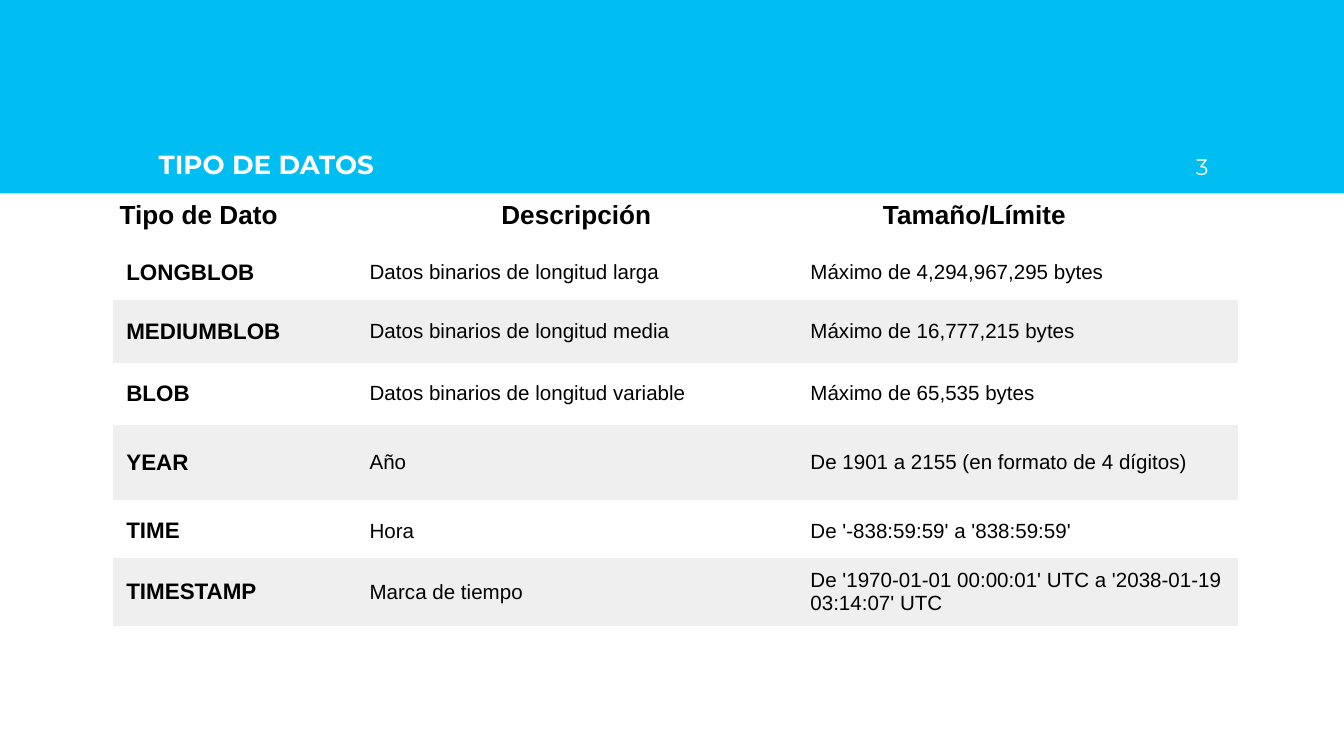
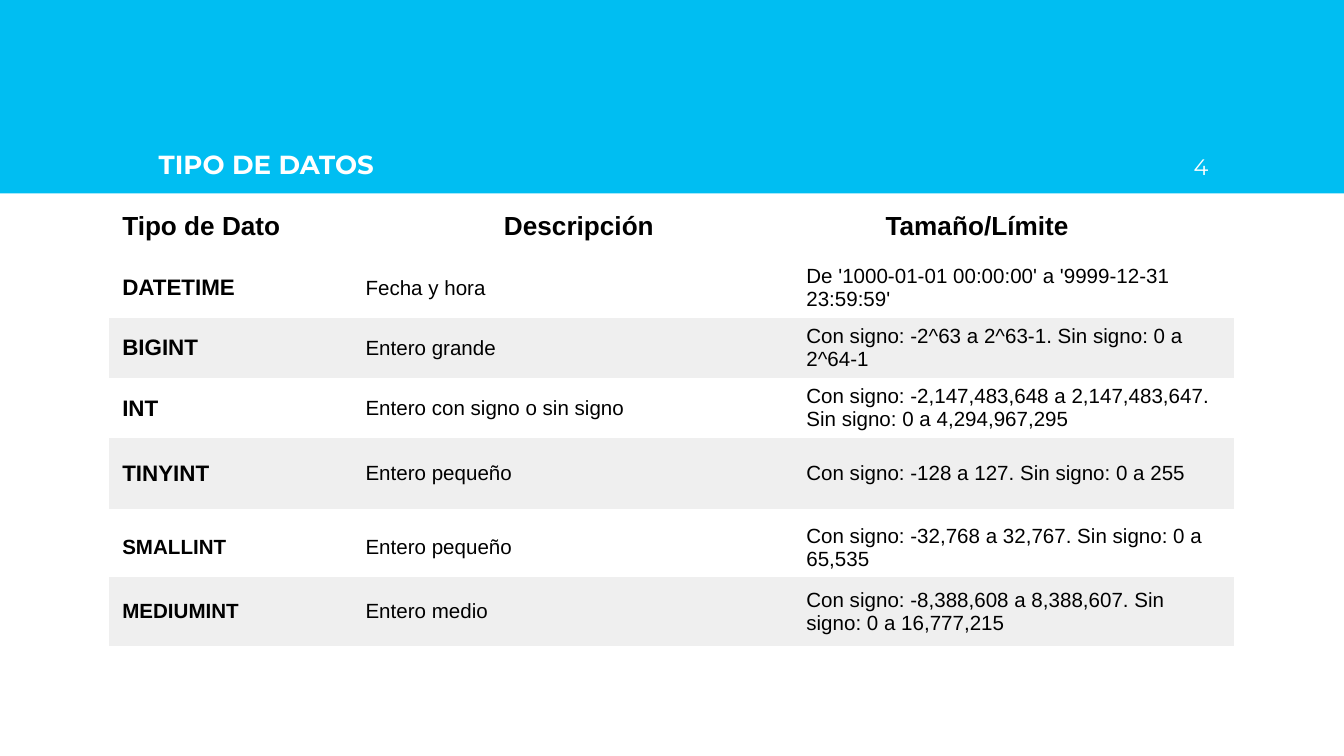
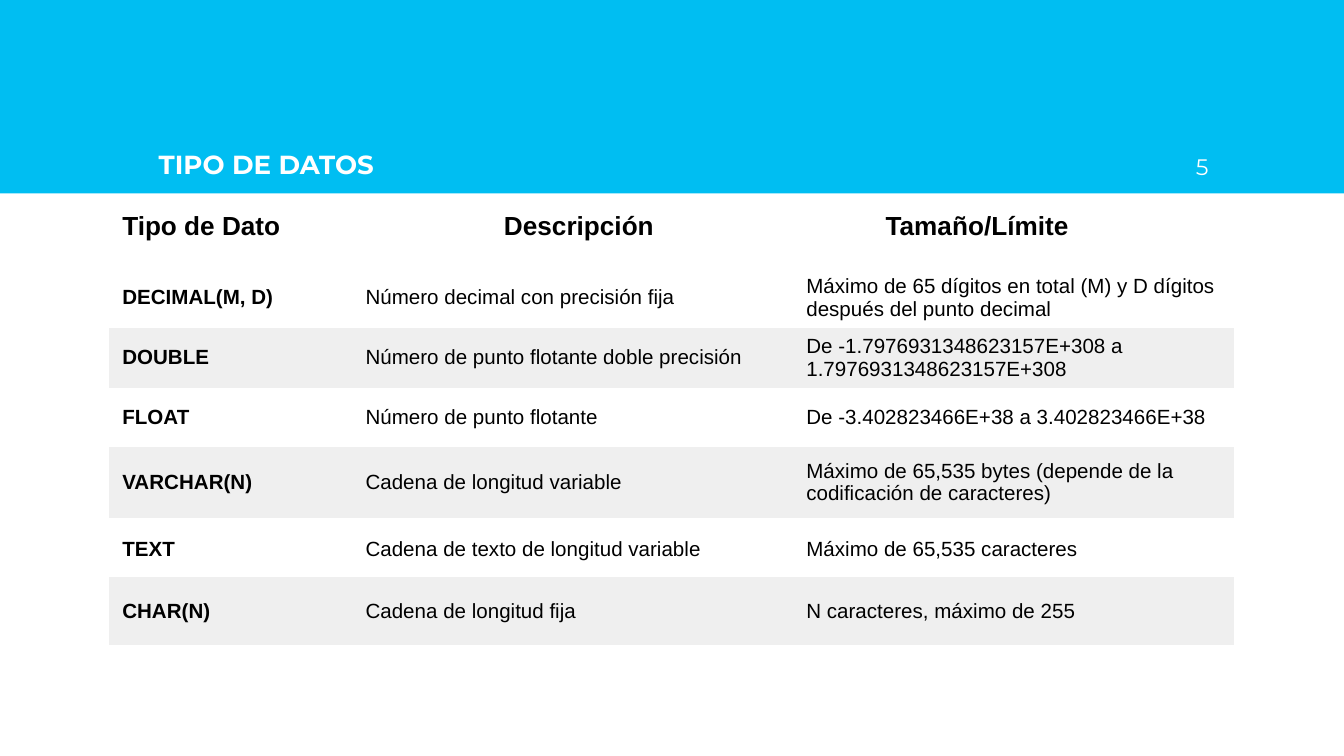
from pptx import Presentation
from pptx.dml.color import RGBColor
from pptx.enum.shapes import MSO_SHAPE
from pptx.enum.text import MSO_ANCHOR, PP_ALIGN
from pptx.oxml.ns import qn
from pptx.util import Inches, Pt

COLORS = {"band": "00BEF2", "light": "FFFFFF", "text": "000000", "stripe": "EFEFEF"}
TITLE = "TIPO DE DATOS"
HEADINGS = ["Tipo de Dato", "Descripción", "Tamaño/Límite"]
HEADING_WIDTHS = [2.84] * 3
TYPE_WIDTHS = [1.81, 3.28, 3.28]
SLIDE_WIDTH = 10
NO_STYLE_NO_GRID = "{2D5ABB26-0587-4C30-8999-92F81FD0307C}"

TITLE_FONT = {"name": "Montserrat", "size": Pt(14), "bold": True}
NUMBER_FONT = {"name": "Montserrat", "size": Pt(12), "bold": False}
HEADING_FONT = {"name": "Arial", "size": Pt(14), "bold": True}
NAME_FONT = {"name": "Arial", "size": Pt(12), "bold": True}
SMALL_NAME_FONT = {**NAME_FONT, "size": Pt(11)}
DETAIL_FONT = {"name": "Arial", "size": Pt(11), "bold": False}

# Each table: top, row heights, font of the type names, rows
SLIDES = [
    {"number": "3", "left": 0.84, "heading_at": (0.79, 1.44), "tables": [
        (1.82, [0.41, 0.47, 0.46, 0.56], NAME_FONT, [
            ("LONGBLOB", "Datos binarios de longitud larga", "Máximo de 4,294,967,295 bytes"),
            ("MEDIUMBLOB", "Datos binarios de longitud media", "Máximo de 16,777,215 bytes"),
            ("BLOB", "Datos binarios de longitud variable", "Máximo de 65,535 bytes"),
            ("YEAR", "Año", "De 1901 a 2155 (en formato de 4 dígitos)"),
        ]),
        (3.75, [0.4, 0.51], NAME_FONT, [
            ("TIME", "Hora", "De '-838:59:59' a '838:59:59'"),
            ("TIMESTAMP", "Marca de tiempo",
             "De '1970-01-01 00:00:01' UTC a '2038-01-19 03:14:07' UTC"),
        ]),
    ]},
    {"number": "4", "left": 0.81, "heading_at": (0.81, 1.52), "tables": [
        (1.92, [0.44, 0.44, 0.44, 0.53], NAME_FONT, [
            ("DATETIME", "Fecha y hora", "De '1000-01-01 00:00:00' a '9999-12-31 23:59:59'"),
            ("BIGINT", "Entero grande", "Con signo: -2^63 a 2^63-1. Sin signo: 0 a 2^64-1"),
            ("INT", "Entero con signo o sin signo",
             "Con signo: -2,147,483,648 a 2,147,483,647. Sin signo: 0 a 4,294,967,295"),
            ("TINYINT", "Entero pequeño", "Con signo: -128 a 127. Sin signo: 0 a 255"),
        ]),
        (3.85, [0.4, 0.51], SMALL_NAME_FONT, [
            ("SMALLINT", "Entero pequeño", "Con signo: -32,768 a 32,767. Sin signo: 0 a 65,535"),
            ("MEDIUMINT", "Entero medio",
             "Con signo: -8,388,608 a 8,388,607. Sin signo: 0 a 16,777,215"),
        ]),
    ]},
    {"number": "5", "left": 0.81, "heading_at": (0.81, 1.52), "tables": [
        (1.99, [0.44, 0.44, 0.44, 0.53], SMALL_NAME_FONT, [
            ("DECIMAL(M, D)", "Número decimal con precisión fija",
             "Máximo de 65 dígitos en total (M) y D dígitos después del punto decimal"),
            ("DOUBLE", "Número de punto flotante doble precisión",
             "De -1.7976931348623157E+308 a 1.7976931348623157E+308"),
            ("FLOAT", "Número de punto flotante", "De -3.402823466E+38 a 3.402823466E+38"),
            ("VARCHAR(N)", "Cadena de longitud variable",
             "Máximo de 65,535 bytes (depende de la codificación de caracteres)"),
        ]),
        (3.89, [0.4, 0.51], SMALL_NAME_FONT, [
            ("TEXT", "Cadena de texto de longitud variable", "Máximo de 65,535 caracteres"),
            ("CHAR(N)", "Cadena de longitud fija", "N caracteres, máximo de 255"),
        ]),
    ]},
]


def rgb(name):
    return RGBColor.from_string(COLORS[name])


def write(text_frame, text, font_format, color, align=PP_ALIGN.LEFT):
    text_frame.text = text
    paragraph = text_frame.paragraphs[0]
    paragraph.alignment = align
    font = paragraph.runs[0].font
    for name, value in font_format.items():
        setattr(font, name, value)
    font.color.rgb = rgb(color)


def write_in_band(shape, box, text, font_format, align):
    """Place a text shape at the foot of the band."""
    shape.left, shape.top, shape.width, shape.height = map(Inches, box)
    text_frame = shape.text_frame
    text_frame.word_wrap = True
    text_frame.vertical_anchor = MSO_ANCHOR.BOTTOM
    for side in ("left", "top", "right", "bottom"):
        setattr(text_frame, f"margin_{side}", Inches(0.1))
    write(text_frame, text, font_format, "light", align)


def add_plain_table(slide, left, top, widths, heights, rows, fonts):
    """Add a borderless table with every second row striped; fonts go by column."""
    frame = slide.shapes.add_table(
        len(rows), len(widths), Inches(left), Inches(top),
        Inches(sum(widths)), Inches(sum(heights)))
    frame.element.find(".//" + qn("a:tableStyleId")).text = NO_STYLE_NO_GRID
    table = frame.table
    table.first_row = table.horz_banding = False
    for column, width in zip(table.columns, widths):
        column.width = Inches(width)
    for index, (row, height, texts) in enumerate(zip(table.rows, heights, rows)):
        row.height = Inches(height)
        for cell, text, font_format in zip(row.cells, texts, fonts):
            cell.vertical_anchor = MSO_ANCHOR.MIDDLE
            cell.margin_top = cell.margin_bottom = Inches(0.04)
            if index % 2:
                cell.fill.solid()
                cell.fill.fore_color.rgb = rgb("stripe")
            else:
                cell.fill.background()
            write(cell.text_frame, text, font_format, "text")


def add_layout_band(slide):
    """Draw the band and move it to the slide's layout, behind everything."""
    band = slide.shapes.add_shape(
        MSO_SHAPE.RECTANGLE, 0, 0, Inches(SLIDE_WIDTH), Inches(1.44))
    band.shadow.inherit = False
    band.fill.solid()
    band.fill.fore_color.rgb = rgb("band")
    band.line.fill.background()
    slide.slide_layout.shapes.element.insert(2, band.element)


def add_types_slide(presentation, content):
    slide = presentation.slides.add_slide(presentation.slide_layouts[5])
    write_in_band(slide.shapes.title, (1.08, 0.71, 7.82, 0.73),
                  TITLE, TITLE_FONT, PP_ALIGN.LEFT)
    write_in_band(slide.shapes.add_textbox(0, 0, 0, 0), (8.49, 0.71, 0.6, 0.73),
                  content["number"], NUMBER_FONT, PP_ALIGN.RIGHT)
    for top, heights, name_font, rows in content["tables"]:
        add_plain_table(slide, content["left"], top, TYPE_WIDTHS, heights, rows,
                        [name_font, DETAIL_FONT, DETAIL_FONT])
    add_plain_table(slide, *content["heading_at"], HEADING_WIDTHS, [0.33],
                    [HEADINGS], [HEADING_FONT] * 3)
    return slide


def main():
    presentation = Presentation()
    presentation.slide_width = Inches(SLIDE_WIDTH)
    presentation.slide_height = Inches(SLIDE_WIDTH * 9 / 16)
    slides = [add_types_slide(presentation, content) for content in SLIDES]
    add_layout_band(slides[0])
    presentation.save("out.pptx")


if __name__ == "__main__":
    main()
